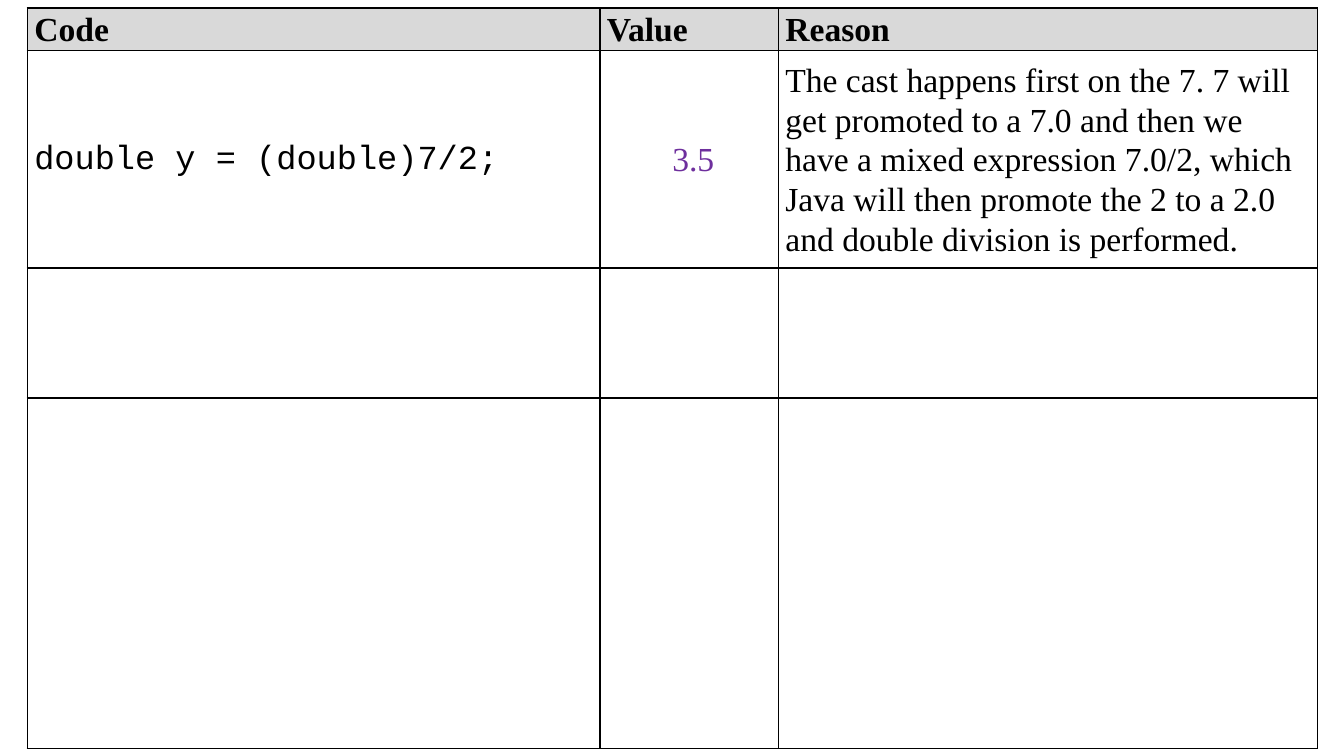
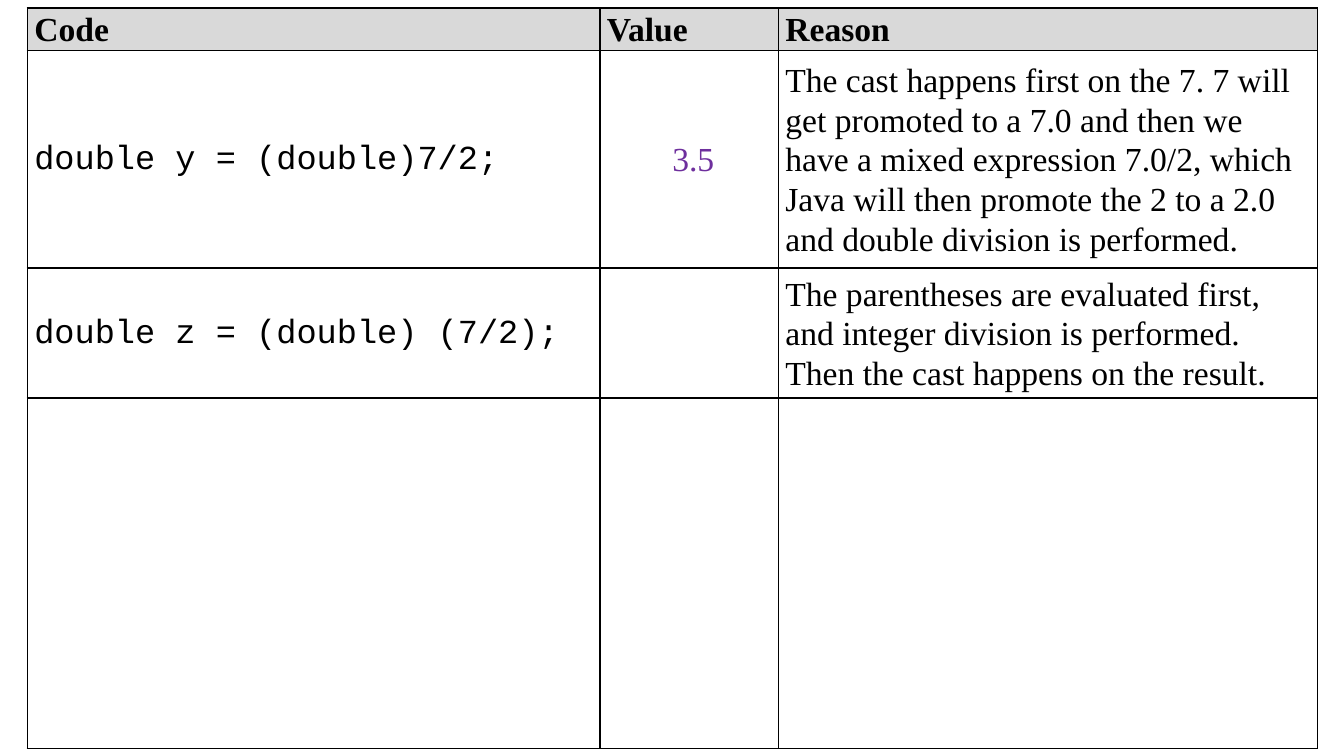
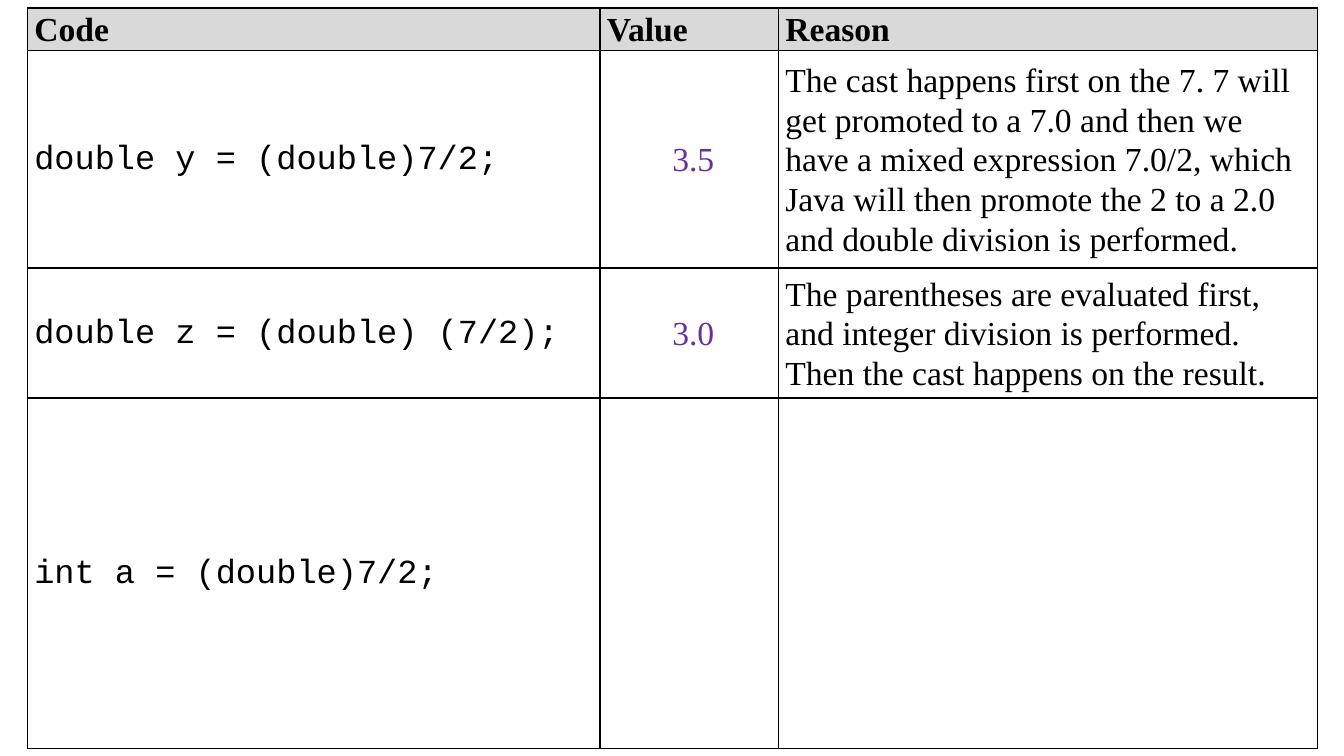
"""Build three slides that fill in a table about casting and division step by step."""
from dataclasses import dataclass

from lxml import etree
from pptx import Presentation
from pptx.dml.color import RGBColor
from pptx.enum import text
from pptx.oxml import ns
from pptx.util import Inches, Pt


@dataclass(frozen=True)
class Theme:
    ink: str = "000000"
    answer: str = "6E2F9D"
    header_fill: str = "D9D9D9"
    paper: str = "FFFFFF"
    prose_font: str = "Times New Roman"
    code_font: str = "Courier New"
    size: int = 24
    leading: float = 1.07
    border: float = 1


THEME = Theme()
COLUMN_WIDTHS = (5.68, 1.77, 5.35)
ROW_HEIGHTS = (0.42, 2.16, 1.29, 3.48)
HEADINGS = ("Code", "Value", "Reason")
EXAMPLES = (
    ("double y = (double)7/2;", " 3.5",
     "The cast happens first on the 7. 7 will get promoted to a 7.0 and then we have "
     "a mixed expression 7.0/2, which Java will then promote the 2 to a 2.0 and double "
     "division is performed."),
    ("double z = (double) (7/2);", " 3.0",
     "The parentheses are evaluated first, and integer division is performed. "
     "Then the cast happens on the result."),
    ("int a = (double)7/2;", "", ""),
)
STEPS = (
    (EXAMPLES[0],),
    (EXAMPLES[0], (EXAMPLES[1][0], "", EXAMPLES[1][2])),
    EXAMPLES,
)


def draw_borders(cell):
    """Rule all four sides of a cell."""
    properties = cell._tc.get_or_add_tcPr()
    for side in ("lnL", "lnR", "lnT", "lnB"):
        line = etree.SubElement(properties, ns.qn(f"a:{side}"), w=str(Pt(THEME.border)))
        fill = etree.SubElement(line, ns.qn("a:solidFill"))
        etree.SubElement(fill, ns.qn("a:srgbClr"), val=THEME.ink)


def format_cell(cell, is_header):
    """Set the borders, fill, margins and anchor of a cell."""
    draw_borders(cell)
    if is_header:
        cell.fill.solid()
        cell.fill.fore_color.rgb = RGBColor.from_string(THEME.header_fill)
    else:
        cell.fill.background()
    cell.margin_left = cell.margin_right = Inches(0.07)
    cell.margin_top = cell.margin_bottom = 0
    cell.vertical_anchor = text.MSO_ANCHOR.MIDDLE


def write_cell(cell, words, heading, is_header):
    """Write the words of a cell in the style of its column."""
    is_code = heading == "Code" and not is_header
    is_answer = heading == "Value" and not is_header
    paragraph = cell.text_frame.paragraphs[0]
    paragraph.line_spacing = THEME.leading
    paragraph.alignment = text.PP_ALIGN.CENTER if is_answer else text.PP_ALIGN.LEFT
    run = paragraph.add_run()
    run.text = words
    run.font.name = THEME.code_font if is_code else THEME.prose_font
    run.font.size = Pt(THEME.size)
    run.font.bold = is_header
    run.font.color.rgb = RGBColor.from_string(THEME.answer if is_answer else THEME.ink)


def add_cast_table(slide, examples):
    """Add the table, leaving rows without an example empty."""
    frame = slide.shapes.add_table(
        len(ROW_HEIGHTS), len(COLUMN_WIDTHS), Inches(0.27), Inches(0.08),
        Inches(sum(COLUMN_WIDTHS)), Inches(sum(ROW_HEIGHTS)))
    table = frame.table
    table.first_row = table.horz_banding = False
    for column, width in zip(table.columns, COLUMN_WIDTHS):
        column.width = Inches(width)
    for row, height in zip(table.rows, ROW_HEIGHTS):
        row.height = Inches(height)
    for cell_row in range(len(ROW_HEIGHTS)):
        for cell_column in range(len(HEADINGS)):
            format_cell(table.cell(cell_row, cell_column), cell_row == 0)
    for row_index, entries in enumerate((HEADINGS, *examples)):
        for column_index, words in enumerate(entries):
            if words:
                write_cell(table.cell(row_index, column_index), words,
                           HEADINGS[column_index], row_index == 0)


def main():
    """Build and save the presentation."""
    deck = Presentation()
    deck.slide_width, deck.slide_height = Inches(13.33), Inches(7.5)
    background = deck.slide_master.background.fill
    background.solid()
    background.fore_color.rgb = RGBColor.from_string(THEME.paper)
    blank = deck.slide_layouts[6]
    for examples in STEPS:
        add_cast_table(deck.slides.add_slide(blank), examples)
    deck.save("out.pptx")


if __name__ == "__main__":
    main()
